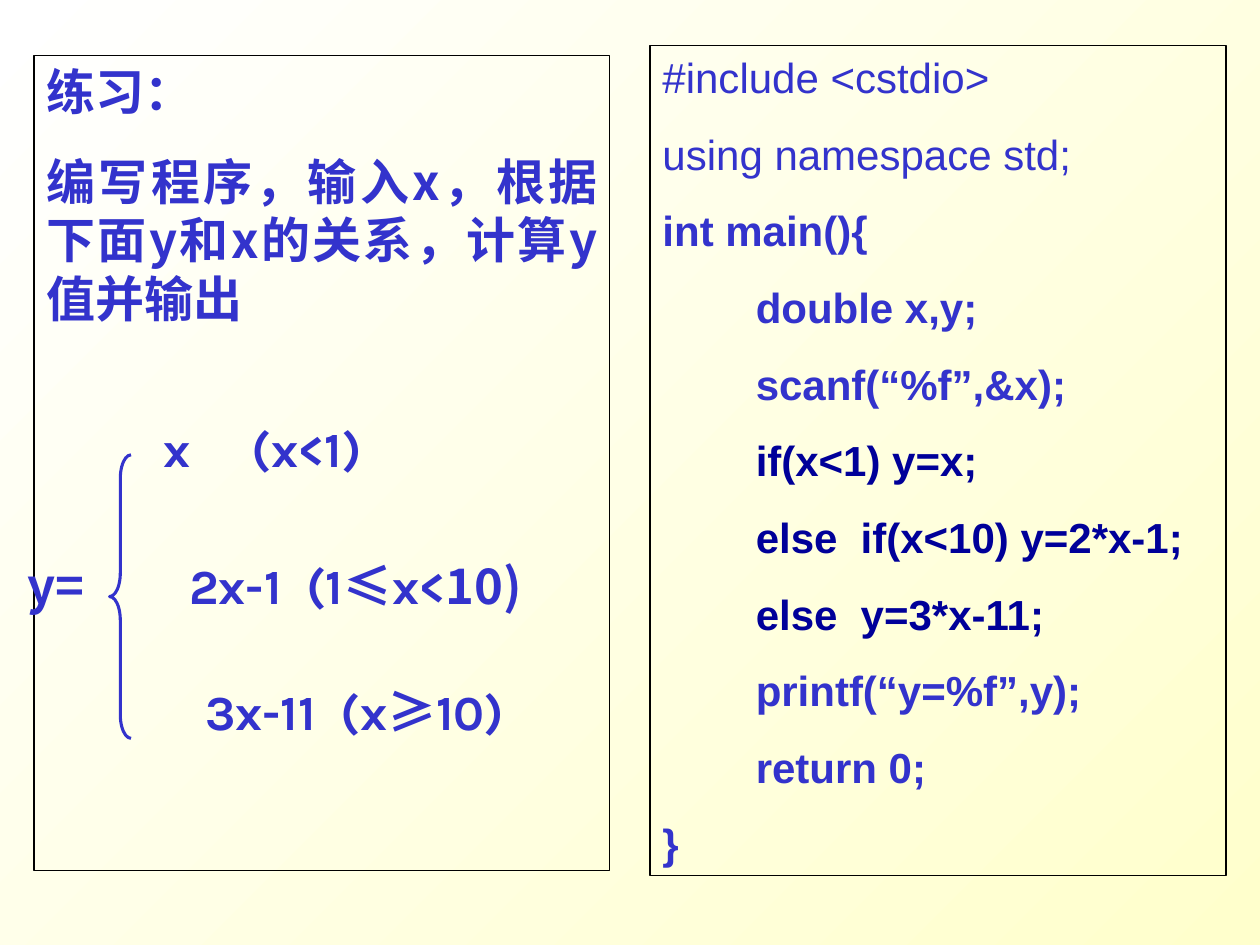
from dataclasses import dataclass

from lxml.etree import SubElement
from pptx import Presentation
from pptx.dml.color import RGBColor
from pptx.enum.shapes import MSO_SHAPE
from pptx.enum.text import MSO_ANCHOR, MSO_AUTO_SIZE, PP_ALIGN
from pptx.oxml.ns import qn
from pptx.util import Inches, Pt


@dataclass(frozen=True)
class Theme:
    blue: str = "3333CC"
    navy: str = "000099"
    black: str = "000000"
    bg_start: str = "FFFFFF"
    bg_end: str = "FFFFCC"
    cjk: str = "Noto Sans CJK SC"
    math: str = "Karla"
    code: str = "Arial"
    body_size: int = 28
    code_size: int = 24
    body_gap: float = 17.5
    code_gap: float = 15


THEME = Theme()
CODE_INDENT = 0.74
CONDITION_TAB = 0.7

EXERCISE = ["练习：", "编写程序，输入x，根据下面y和x的关系，计算y值并输出"]

CODE = [
    ("#include <cstdio>", 0, False, THEME.blue),
    ("using namespace std;", 0, False, THEME.blue),
    ("int main(){", 0, True, THEME.blue),
    ("double x,y;", 1, True, THEME.blue),
    ("scanf(“%f”,&x);", 1, True, THEME.blue),
    ("if(x<1) y=x;", 1, True, THEME.navy),
    ("else  if(x<10) y=2*x-1;", 1, True, THEME.navy),
    ("else  y=3*x-11;", 1, True, THEME.navy),
    ("printf(“y=%f”,y);", 1, True, THEME.blue),
    ("return 0;", 1, True, THEME.blue),
    ("}", 0, True, THEME.blue),
]

FORMULA = [
    ((1.2, 3.27, 6.25, 1.28), PP_ALIGN.JUSTIFY, True,
     [("x\t(x<1)", THEME.math)]),
    ((1.12, 4.36, 3.49, 0.57), PP_ALIGN.CENTER, True,
     [("2x-1  (1", THEME.math), ("≤", THEME.cjk),
      ("x<", THEME.math), ("10) ", THEME.cjk)]),
    ((1.2, 5.36, 3.23, 0.57), PP_ALIGN.CENTER, True,
     [("3x-11  (x", THEME.math), ("≥", THEME.cjk), ("10)", THEME.math)]),
    ((0.11, 4.36, 0.67, 0.57), PP_ALIGN.CENTER, False,
     [("y=", THEME.cjk)]),
]


def rgb(value):
    return RGBColor.from_string(value)


def apply(obj, formats):
    for name, value in formats.items():
        setattr(obj, name, value)


def box(values):
    return [Inches(v) for v in values]


def set_background(s):
    fill = s.background.fill
    fill.gradient()
    fill.gradient_angle = 315
    for stop, color in zip(fill.gradient_stops, (THEME.bg_start, THEME.bg_end)):
        stop.color.rgb = rgb(color)


def set_frame(tf, wrap=True):
    apply(tf, {
        "word_wrap": wrap,
        "auto_size": MSO_AUTO_SIZE.SHAPE_TO_FIT_TEXT,
        "vertical_anchor": MSO_ANCHOR.TOP,
    })


def add_outline(shapes, preset, at, color, width):
    sp = shapes.add_shape(preset, *box(at))
    sp.shadow.inherit = False
    sp.fill.background()
    sp.line.color.rgb = rgb(color)
    sp.line.width = Pt(width)
    return sp


def add_run(p, text, font, size, bold=True, color=THEME.blue):
    r = p.add_run()
    r.text = text
    apply(r.font, {"name": font, "size": Pt(size), "bold": bold})
    r.font.color.rgb = rgb(color)
    SubElement(r.font._element, qn("a:ea"), typeface=font)


def add_paragraph(tf, index, align, gap):
    p = tf.add_paragraph() if index else tf.paragraphs[0]
    apply(p, {"alignment": align, "space_before": Pt(gap)})
    return p


def add_panel(s, at):
    sp = add_outline(s.shapes, MSO_SHAPE.RECTANGLE, at, THEME.black, 0.75)
    set_frame(sp.text_frame)
    return sp.text_frame


def add_exercise(s):
    tf = add_panel(s, (0.27, 0.44, 4.57, 6.47))
    for i, text in enumerate(EXERCISE):
        p = add_paragraph(tf, i, PP_ALIGN.JUSTIFY, THEME.body_gap)
        add_run(p, text, THEME.cjk, THEME.body_size)


def add_formula(s):
    shapes = s.shapes.add_group_shape().shapes
    brace = add_outline(shapes, MSO_SHAPE.LEFT_BRACE,
                        (0.87, 3.61, 0.17, 2.25), THEME.blue, 1.75)
    brace.adjustments[0] = 1.1
    for at, align, wrap, runs in FORMULA:
        tf = shapes.add_textbox(*box(at)).text_frame
        set_frame(tf, wrap)
        p = add_paragraph(tf, 0, align, THEME.body_gap)
        tabs = SubElement(p._p.get_or_add_pPr(), qn("a:tabLst"))
        SubElement(tabs, qn("a:tab"), pos=str(Inches(CONDITION_TAB)), algn="l")
        for text, font in runs:
            add_run(p, text, font, THEME.body_size)


def add_code(s):
    tf = add_panel(s, (5.16, 0.36, 4.57, 6.59))
    for i, (text, level, bold, color) in enumerate(CODE):
        p = add_paragraph(tf, i, PP_ALIGN.LEFT, THEME.code_gap)
        p._p.get_or_add_pPr().set("marL", str(Inches(CODE_INDENT * level)))
        add_run(p, text, THEME.code, THEME.code_size, bold, color)


def main():
    prs = Presentation()
    apply(prs, {"slide_width": Inches(10), "slide_height": Inches(7.5)})
    s = prs.slides.add_slide(prs.slide_layouts[6])
    set_background(s)
    add_exercise(s)
    add_formula(s)
    add_code(s)
    prs.save("out.pptx")


if __name__ == "__main__":
    main()
